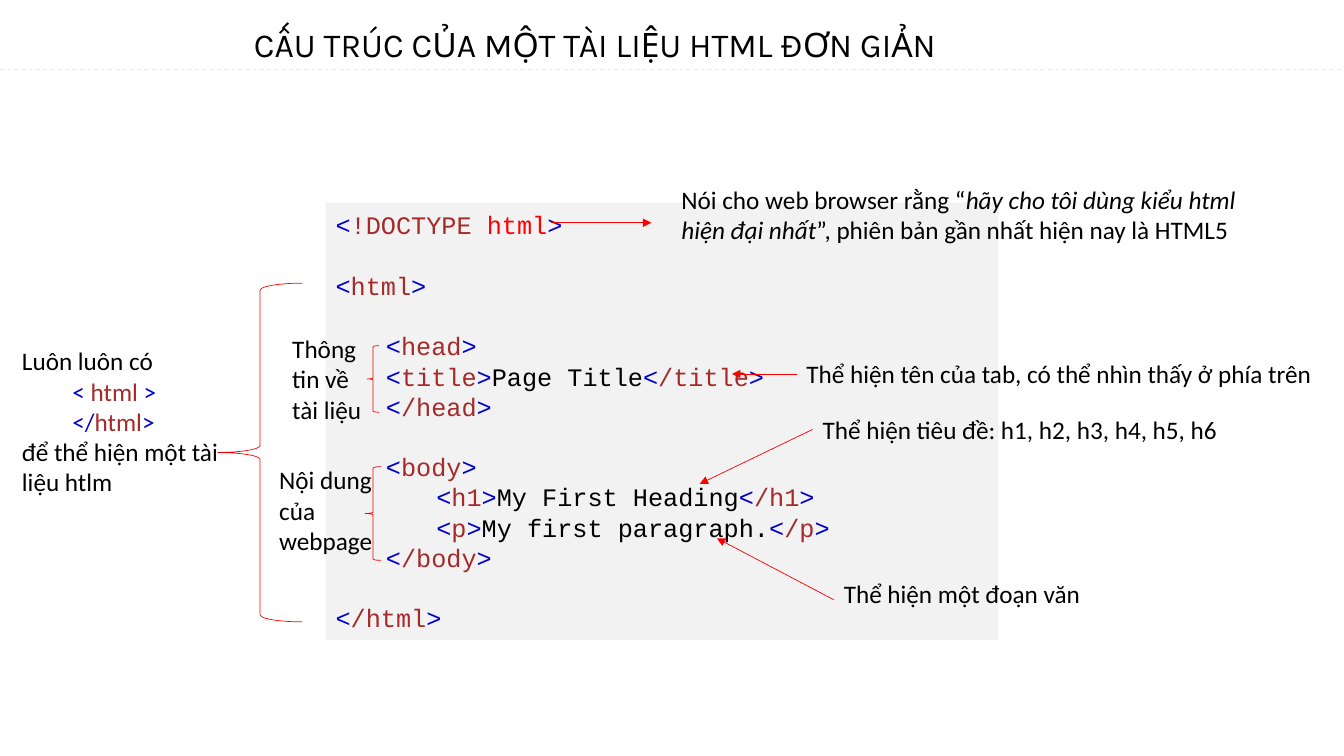
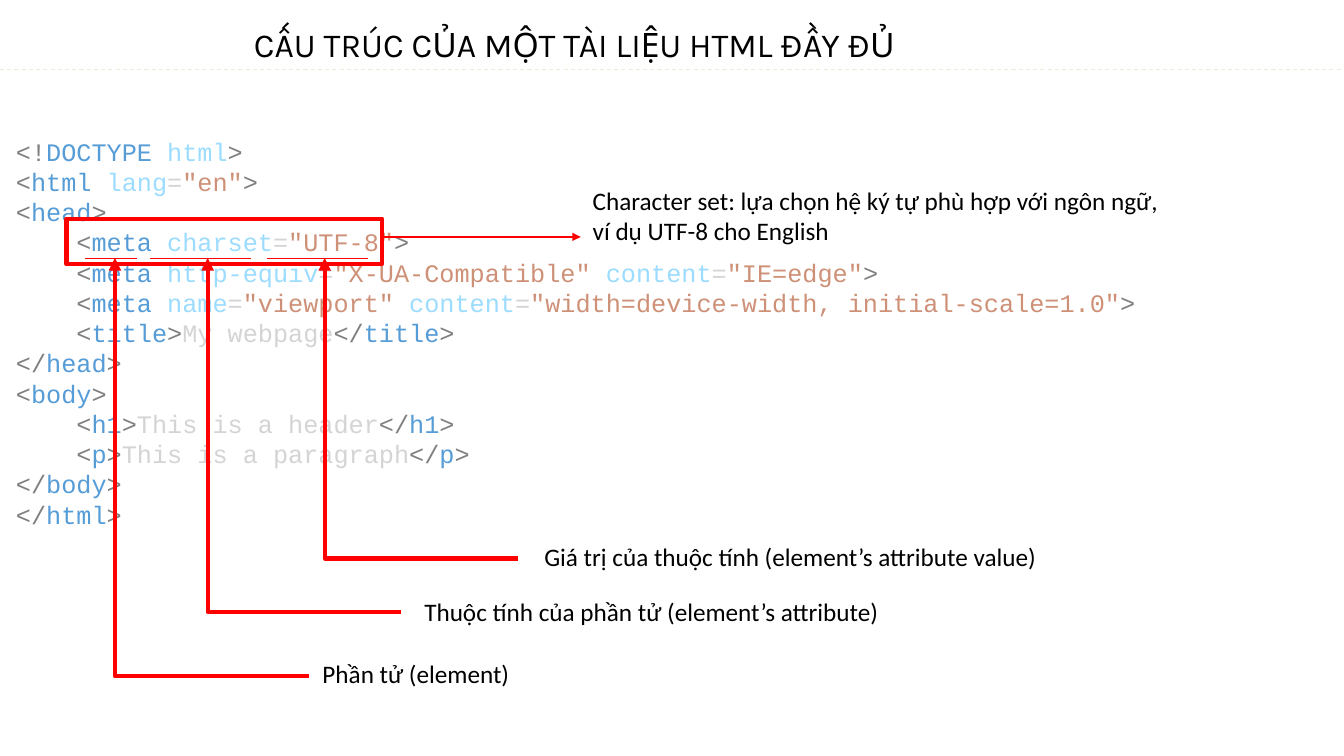
import dataclasses

import lxml.etree
import pptx
import pptx.dml.color
import pptx.enum.dml
import pptx.enum.shapes
import pptx.enum.text
import pptx.oxml.ns
import pptx.util

Inches = pptx.util.Inches
Pt = pptx.util.Pt
SHAPES = pptx.enum.shapes.MSO_SHAPE
STRAIGHT = pptx.enum.shapes.MSO_CONNECTOR.STRAIGHT
ANCHORS = pptx.enum.text.MSO_ANCHOR

COLOURS = {
    "panel": "F2F2F2",
    "rule": "E2F0D9",
    "mark": "FF0000",
    "simple_text": "000000",
    "simple_bracket": "0000CD",
    "simple_name": "A52A2A",
    "simple_attribute": "FF0000",
    "full_text": "D4D4D4",
    "full_bracket": "808080",
    "full_name": "569CD6",
    "full_attribute": "9CDCFE",
    "full_value": "CE9178",
}
BODY = {"name": "Calibri", "size": Pt(18)}
CODE = {"name": "Courier New", "size": Pt(18)}
TITLE = {"name": "Karla", "size": Pt(24)}
BLANK_LINE = Pt(21.6)
LEFT_SIDE = 1


@dataclasses.dataclass
class Line:
    runs: list
    level: int = 0
    gap: int = 0


def plain(text):
    return Line([(text, "text")])


def tag(name, *attributes, opening="<"):
    runs = [(opening, "bracket"), (name, "name")]
    for key, *values in attributes:
        runs.append((" " + key, "attribute"))
        for value in values:
            runs += [("=", "text"), (f'"{value}"', "value")]
    return runs + [(">", "bracket")]


def closing(name):
    return tag(name, opening="</")


def indented(runs):
    return Line([("    ", "text")] + runs)


def colour(key):
    return pptx.dml.color.RGBColor.from_string(COLOURS[key])


class Deck:
    def __init__(self):
        self.presentation = pptx.Presentation()
        self.presentation.slide_width = Inches(13.33)
        self.presentation.slide_height = Inches(7.5)
        self.slide = None

    def start(self, title):
        self.slide = self.presentation.slides.add_slide(self.presentation.slide_layouts[6])
        self.label(2.42, 0.19, 8.78, 0.5, [plain(title)], TITLE)
        self.line((0, 0.69), (13.33, 0.69), key="rule", width=0.75, dashed=True)

    def fill_text(self, frame, lines, font=BODY, scheme="simple", anchor=ANCHORS.TOP):
        settings = {
            "word_wrap": True,
            "vertical_anchor": anchor,
            "auto_size": pptx.enum.text.MSO_AUTO_SIZE.SHAPE_TO_FIT_TEXT,
        }
        for name, value in settings.items():
            setattr(frame, name, value)
        for index, line in enumerate(lines):
            paragraph = frame.add_paragraph() if index else frame.paragraphs[0]
            paragraph.alignment = pptx.enum.text.PP_ALIGN.LEFT
            paragraph.level = line.level
            if line.level:
                properties = paragraph._p.get_or_add_pPr()
                properties.set("marL", str(Inches(0.5 * line.level)))
                properties.set("indent", "0")
            if line.gap:
                paragraph.space_before = line.gap
            for text, role, *styles in line.runs:
                run = paragraph.add_run()
                run.text = text
                run.font.color.rgb = colour(f"{scheme}_{role}")
                for style in (font, *styles):
                    for name, value in style.items():
                        setattr(run.font, name, value)

    def label(self, left, top, width, height, lines, font=BODY, scheme="simple"):
        box = self.slide.shapes.add_textbox(*map(Inches, (left, top, width, height)))
        self.fill_text(box.text_frame, lines, font, scheme)
        return box

    def panel(self, left, top, width, height, lines):
        panel = self.slide.shapes.add_shape(
            SHAPES.RECTANGLE, *map(Inches, (left, top, width, height)))
        panel.shadow.inherit = False
        panel.fill.solid()
        panel.fill.fore_color.rgb = colour("panel")
        panel.line.fill.background()
        self.fill_text(panel.text_frame, lines, CODE, anchor=ANCHORS.MIDDLE)

    def stroke(self, shape, key="mark", width=0.5, **ends):
        shape.line.color.rgb = colour(key)
        shape.line.width = Pt(width)
        for end, kind in ends.items():
            lxml.etree.SubElement(
                shape.line._get_or_add_ln(), pptx.oxml.ns.qn(f"a:{end}"), type=kind)

    def outline(self, kind, left, top, width, height, weight=0.5):
        shape = self.slide.shapes.add_shape(kind, *map(Inches, (left, top, width, height)))
        shape.shadow.inherit = False
        shape.fill.background()
        self.stroke(shape, width=weight)

    def line(self, start, end, key="mark", width=0.5, dashed=False, source=None,
             shapes=None, **ends):
        line = (shapes or self.slide.shapes).add_connector(
            STRAIGHT, *map(Inches, (*start, *end)))
        if source is not None:
            line.begin_connect(source, LEFT_SIDE)
        if dashed:
            line.line.dash_style = pptx.enum.dml.MSO_LINE.DASH
        self.stroke(line, key, width, **ends)
        lxml.etree.SubElement(line._element.spPr, pptx.oxml.ns.qn("a:effectLst"))

    def arrow(self, start, end, width=0.5, source=None):
        self.line(start, end, width=width, source=source, tailEnd="triangle")

    def pointer(self, x, top, bottom, underline):
        shapes = self.slide.shapes.add_group_shape().shapes
        builder = shapes.build_freeform(Inches(x), Inches(top))
        corners = [(x, bottom), (x + 1.92, bottom)]
        builder.add_line_segments(
            [tuple(map(Inches, corner)) for corner in corners], close=False)
        elbow = builder.convert_to_shape()
        elbow.shadow.inherit = False
        elbow.fill.background()
        self.stroke(elbow, width=3, headEnd="triangle")
        left, right = underline
        self.line((left, top), (right, top), shapes=shapes)


def simple_document(deck):
    deck.start("CẤU TRÚC CỦA MỘT TÀI LIỆU HTML ĐƠN GIẢN")
    deck.panel(3.23, 2.01, 6.67, 4.34, [
        Line(tag("!DOCTYPE", ("html",))),
        Line(tag("html"), gap=BLANK_LINE),
        Line(tag("head"), 1, BLANK_LINE),
        Line(tag("title") + [("Page Title", "text")] + tag("/title"), 1),
        Line(tag("/head"), 1),
        Line(tag("body"), 1, BLANK_LINE),
        Line(tag("h1") + [("My First Heading", "text")] + tag("/h1"), 2),
        Line(tag("p") + [("My first paragraph.", "text")] + tag("/p"), 2),
        Line(tag("/body"), 1),
        Line(tag("/html"), gap=BLANK_LINE),
    ])

    deck.label(6.66, 1.78, 6.07, 0.71, [Line([
        ("Nói cho web browser rằng “", "text"),
        ("hãy cho tôi dùng kiểu html hiện đại nhất", "text", {"italic": True}),
        ("”, phiên bản gần nhất hiện nay là HTML5", "text"),
    ])])
    deck.arrow((5.47, 2.21), (6.46, 2.21))

    deck.label(0.12, 3.38, 2.43, 1.62, [
        plain("Luôn luôn có"),
        Line([("< ", "bracket"), ("html ", "name"), (">", "bracket")], 1),
        Line(closing("html"), 1),
        plain("để thể hiện một tài liệu htlm"),
    ])
    deck.label(2.67, 4.56, 1.35, 1.01, [plain("Nội dung của webpage")])
    deck.label(2.8, 3.26, 0.98, 1.01, [plain("Thông tin về tài liệu")])
    for brace in [(3.64, 3.43, 0.12, 0.66), (3.62, 4.63, 0.16, 0.93), (2.16, 2.81, 0.84, 3.36)]:
        deck.outline(SHAPES.LEFT_BRACE, *brace)

    tab_name = deck.label(
        7.9, 3.51, 5.62, 0.4, [plain("Thể hiện tên của tab, có thể nhìn thấy ở phía trên")])
    deck.arrow((7.9, 3.71), (7.26, 3.71), source=tab_name)
    heading = deck.label(
        8.06, 4.06, 4.68, 0.4, [plain("Thể hiện tiêu đề: h1, h2, h3, h4, h5, h6")])
    deck.arrow((8.06, 4.26), (6.94, 4.8), source=heading)
    deck.label(8.27, 5.69, 2.62, 0.4, [plain("Thể hiện một đoạn văn")])
    deck.arrow((8.27, 5.95), (7.11, 5.34))


def full_document(deck):
    deck.start("CẤU TRÚC CỦA MỘT TÀI LIỆU HTML ĐẦY ĐỦ")
    deck.label(0.06, 1.3, 11.45, 4.04, [
        Line(tag("DOCTYPE", ("html",), opening="<!")),
        Line(tag("html", ("lang", "en"))),
        Line(tag("head")),
        indented(tag("meta", ("charset", "UTF-8"))),
        indented(tag("meta", ("http-equiv", "X-UA-Compatible"), ("content", "IE=edge"))),
        indented(tag("meta", ("name", "viewport"),
                     ("content", "width=device-width, initial-scale=1.0"))),
        indented(tag("title") + [("My webpage", "text")] + closing("title")),
        Line(closing("head")),
        Line(tag("body")),
        indented(tag("h1") + [("This is a header", "text")] + closing("h1")),
        indented(tag("p") + [("This is a paragraph", "text")] + closing("p")),
        Line(closing("body")),
        Line(closing("html")),
    ], CODE, "full")

    deck.label(5.78, 1.79, 5.88, 0.71, [
        plain("Character set: lựa chọn hệ ký tự phù hợp với ngôn ngữ,"),
        plain("ví dụ UTF-8 cho English"),
    ])
    deck.label(3.1, 6.48, 2.08, 0.4, [plain("Phần tử (element)")])
    deck.label(4.11, 5.87, 4.77, 0.4, [plain("Thuộc tính của phần tử (element’s attribute)")])
    deck.label(5.3, 5.32, 5.15, 0.4, [plain("Giá trị của thuộc tính (element’s attribute value)")])

    deck.pointer(2.06, 2.56, 6.07, (1.49, 2.49))
    deck.pointer(1.14, 2.56, 6.71, (0.84, 1.36))
    deck.pointer(3.22, 2.56, 5.54, (2.65, 3.65))
    deck.arrow((3.78, 2.35), (5.76, 2.35), width=1.5)
    deck.outline(SHAPES.RECTANGLE, 0.66, 2.17, 3.13, 0.45, weight=3)


def main():
    deck = Deck()
    simple_document(deck)
    full_document(deck)
    deck.presentation.save("out.pptx")


if __name__ == "__main__":
    main()
